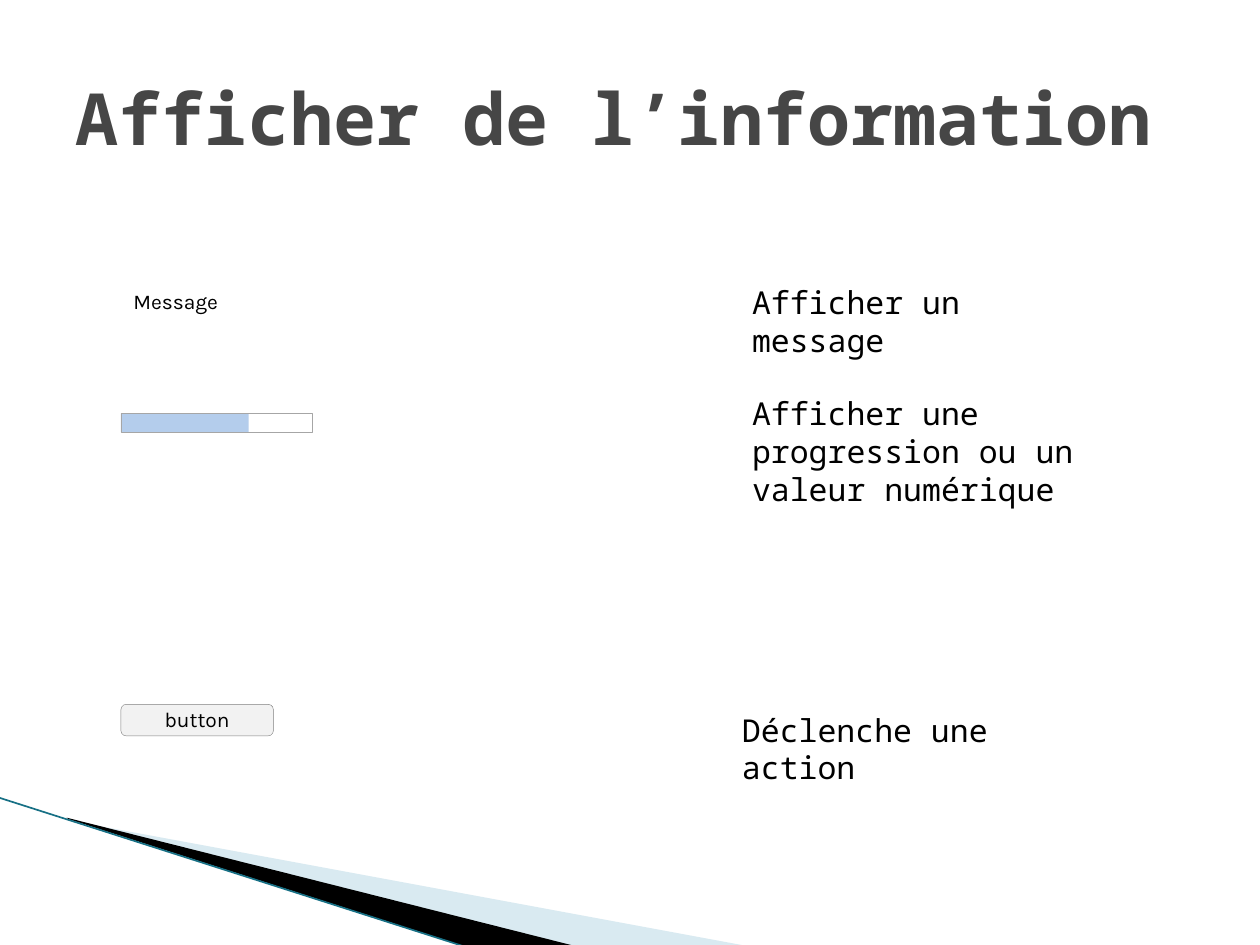
import pptx
import pptx.util
import pptx.dml.color
import pptx.enum.shapes
import pptx.enum.text
import pptx.oxml.ns
import lxml.etree

Inches = pptx.util.Inches
Pt = pptx.util.Pt
RGBColor = pptx.dml.color.RGBColor
Anchor = pptx.enum.text.MSO_ANCHOR
Align = pptx.enum.text.PP_ALIGN
Preset = pptx.enum.shapes.MSO_SHAPE

BLACK = RGBColor(0x00, 0x00, 0x00)
SLATE = RGBColor(0x46, 0x46, 0x46)
PALE = RGBColor(0xA0, 0xCB, 0xDC)
TEAL = RGBColor(0x17, 0x70, 0x85)
FACE = RGBColor(0xF2, 0xF2, 0xF2)
EDGE = RGBColor(0x80, 0x80, 0x80)
BLUE = RGBColor(0x55, 0x8E, 0xD5)
GREY = RGBColor(0xA6, 0xA6, 0xA6)
MONO = "Noto Sans Mono"
SANS = "Karla"


def paint(shape, fill=None, alpha=100, line=None):
    """Set the fill, its opacity in percent and a hairline outline."""
    shape.shadow.inherit = False
    if fill is None:
        shape.fill.background()
    else:
        shape.fill.solid()
        shape.fill.fore_color.rgb = fill
        if alpha < 100:
            color = shape.fill._xPr.find(".//" + pptx.oxml.ns.qn("a:srgbClr"))
            node = lxml.etree.SubElement(color, pptx.oxml.ns.qn("a:alpha"))
            node.set("val", str(alpha * 1000))
    if line is None:
        shape.line.fill.background()
    else:
        shape.line.color.rgb = line
        shape.line.width = Pt(0.25)


def write(shape, text, size, font, color=BLACK, bold=False, anchor=Anchor.TOP,
          align=Align.LEFT, wrap=True, pad=(0.05, 0.05)):
    """Fill a shape with one styled paragraph."""
    frame = shape.text_frame
    frame.text = text
    frame.word_wrap = wrap
    frame.vertical_anchor = anchor
    frame.margin_top, frame.margin_bottom = map(Inches, pad)
    para = frame.paragraphs[0]
    para.alignment = align
    face = para.runs[0].font
    face.name, face.size, face.bold = font, Pt(size), bold
    face.color.rgb = color


def label(slide, box, text, size, font, **style):
    """Add a text box."""
    shape = slide.shapes.add_textbox(*map(Inches, box))
    write(shape, text, size, font, **style)


def swoosh(slide, left, top):
    """Draw the two wedges and the edge line in the lower corner."""
    wedges = (
        (PALE, 40, ((0.55, 0.18), (5.95, 1.18), (4.56, 1.18), (0.55, 0.17))),
        (BLACK, 100, ((0.54, 0.16), (4.58, 1.18), (3.73, 1.19), (0.55, 0.17))),
    )
    for fill, alpha, points in wedges:
        spots = [(Inches(left + x), Inches(top + y)) for x, y in points]
        build = slide.shapes.build_freeform(*spots[0], scale=1.0)
        build.add_line_segments(spots[1:], close=True)
        paint(build.convert_to_shape(), fill, alpha)
    ends = (left, top, left + 3.72, top + 1.19)
    edge = slide.shapes.add_connector(
        pptx.enum.shapes.MSO_CONNECTOR.STRAIGHT, *map(Inches, ends))
    edge.line.color.rgb = TEAL
    edge.line.width = Pt(0.95)
    lxml.etree.SubElement(edge._element.spPr, pptx.oxml.ns.qn("a:effectLst"))


def meter(slide, left, top, width, height, share):
    """Draw a progress bar filled to the given share."""
    parts = ((width * share, BLUE, 44, None), (width, None, 100, GREY))
    for span, fill, alpha, line in parts:
        bar = slide.shapes.add_shape(
            Preset.RECTANGLE, *map(Inches, (left, top, span, height)))
        paint(bar, fill, alpha, line)


def button(slide, box, text):
    """Draw a push button."""
    shape = slide.shapes.add_shape(Preset.ROUNDED_RECTANGLE, *map(Inches, box))
    paint(shape, FACE, line=EDGE)
    write(shape, text, 12, SANS, anchor=Anchor.MIDDLE, align=Align.CENTER,
          pad=(0, 0.01))


def main():
    """Build and save the slide."""
    deck = pptx.Presentation()
    deck.slide_width, deck.slide_height = Inches(10), Inches(7.5)
    slide = deck.slides.add_slide(deck.slide_layouts[6])
    swoosh(slide, -0.01, 6.33)
    label(slide, (0.5, 0.3, 9, 1.25), "Afficher de l’information", 41, MONO,
          color=SLATE, bold=True, anchor=Anchor.MIDDLE)
    left = 0.96
    label(slide, (left, 2.27, 0.9, 0.25), "Message", 12, SANS,
          anchor=Anchor.MIDDLE, wrap=False, pad=(0.02, 0.03))
    meter(slide, left, 3.28, 1.52, 0.15, 2 / 3)
    button(slide, (left, 5.59, 1.21, 0.25), "button")
    notes = (
        ((5.87, 2.2, 2.71, 0.4), "Afficher un message"),
        ((5.87, 3.08, 3.31, 0.71),
         "Afficher une progression ou un valeur numérique"),
        ((5.79, 5.59, 2.82, 0.4), "Déclenche une action"),
    )
    for box, text in notes:
        label(slide, box, text, 18, MONO)
    deck.save("out.pptx")


main()
